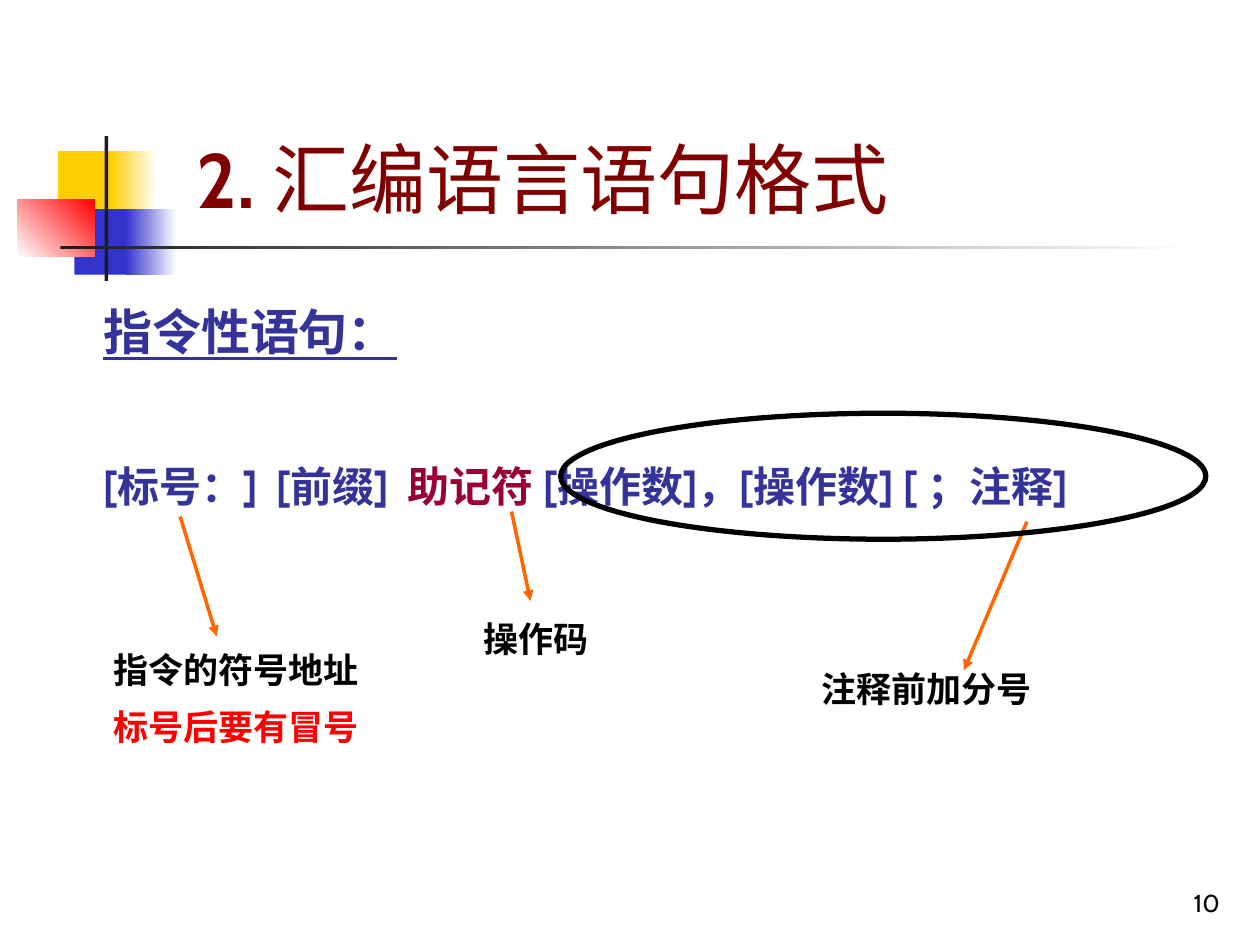
from dataclasses import dataclass

from lxml import etree
from pptx import Presentation
from pptx import util as u
from pptx.dml.color import RGBColor
from pptx.enum import shapes, text
from pptx.oxml.ns import qn


@dataclass(frozen=True)
class Theme:
    """Colours, fonts and type sizes of the slide."""
    white: str = "FFFFFF"
    black: str = "000000"
    ink: str = "1C1C1C"
    yellow: str = "FFCF01"
    blue: str = "3333CC"
    red: str = "FF0000"
    orange: str = "FF6600"
    maroon: str = "800000"
    navy: str = "333399"
    wine: str = "990033"
    sans: str = "Cabin"
    serif: str = "Times New Roman"
    title: int = 44
    heading: int = 28
    syntax: int = 24
    label: int = 20
    number: int = 14


T = Theme()


def rgb(value):
    """Turn a hex string into a colour."""
    return RGBColor.from_string(value)


def apply(obj, formats):
    """Set attributes of an object from a dict."""
    for name, value in formats.items():
        setattr(obj, name, value)


def add_run(p, content, size, color, font=T.sans, **formats):
    """Append a formatted run to a paragraph."""
    r = p.add_run()
    r.text = content
    apply(r.font, {"size": u.Pt(size), "name": font, **formats})
    r.font.color.rgb = rgb(color)


def add_block(slide, box, colors, angle=0):
    """Add a plain block, with a gradient when two colours are given."""
    sp = slide.shapes.add_shape(shapes.MSO_SHAPE.RECTANGLE, *map(u.Inches, box))
    sp.shadow.inherit = False
    sp.line.fill.background()
    if len(colors) == 1:
        sp.fill.solid()
        sp.fill.fore_color.rgb = rgb(colors[0])
        return
    sp.fill.gradient()
    sp.fill.gradient_angle = angle
    for stop, color in zip(sp.fill.gradient_stops, colors):
        stop.color.rgb = rgb(color)


def add_text(slide, box, **formats):
    """Add a wrapping text box and return its frame."""
    tf = slide.shapes.add_textbox(*map(u.Inches, box)).text_frame
    apply(tf, {"word_wrap": True, **formats})
    return tf


def add_label(slide, box, lines, **spacing):
    """Add a bold explanation, one paragraph for each line."""
    tf = add_text(slide, box)
    for i, (content, color) in enumerate(lines):
        p = tf.add_paragraph() if i else tf.paragraphs[0]
        apply(p, spacing)
        if i:
            p.space_before = u.Pt(5)
        add_run(p, content, T.label, color, T.serif, bold=True)


def add_arrow(slide, start, end):
    """Add an arrow from a statement part to its explanation."""
    sp = slide.shapes.add_connector(
        shapes.MSO_CONNECTOR.STRAIGHT, *map(u.Inches, (*start, *end)))
    sp.line.color.rgb = rgb(T.orange)
    sp.line.width = u.Pt(2)
    etree.SubElement(sp.line._get_or_add_ln(), qn("a:tailEnd"), type="triangle")
    etree.SubElement(sp._element.spPr, qn("a:effectLst"))


def add_decoration(slide):
    """Add the coloured blocks and the two rules around the title."""
    for box, colors, angle in [
        ((0.46, 1.2, 0.48, 0.52), [T.yellow], 0),
        ((0.88, 1.2, 0.36, 0.52), [T.yellow, T.white], 0),
        ((0.59, 1.66, 0.46, 0.52), [T.blue], 0),
        ((1, 1.66, 0.4, 0.52), [T.blue, T.white], 0),
        ((0.14, 1.58, 0.61, 0.46), [T.white, T.red], 45),
        ((0.83, 1.08, 0.03, 1.15), [T.ink], 0),
        ((0.48, 1.95, 9, 0.03), [T.ink, T.white], 0),
    ]:
        add_block(slide, box, colors, angle)


def set_title(slide):
    """Place and format the title."""
    sp = slide.shapes.title
    apply(sp, dict(zip(("left", "top", "width", "height"),
                       map(u.Inches, (1.46, 0.6, 6.89, 1.23)))))
    apply(sp.text_frame, {"vertical_anchor": text.MSO_ANCHOR.BOTTOM,
                          "auto_size": text.MSO_AUTO_SIZE.NONE})
    p = sp.text_frame.paragraphs[0]
    p.alignment = text.PP_ALIGN.LEFT
    add_run(p, "2. ", T.title, T.maroon, bold=True)
    add_run(p, "汇编语言语句格式", T.title, T.maroon, bold=False)


def add_statement(slide):
    """Add the heading and the statement syntax."""
    tf = add_text(slide, (0.82, 2.35, 9.06, 2.27), margin_left=0, margin_top=0)
    p = tf.paragraphs[0]
    p.line_spacing = 1.1
    add_run(p, "指令性语句：", T.heading, T.navy, bold=True, underline=True)
    p = tf.add_paragraph()
    apply(p, {"line_spacing": 1.1, "space_before": u.Pt(54)})
    for content, color in [("[标号：]  [前缀]  ", T.navy), ("助记符 ", T.wine),
                           ("[操作数]，[操作数] [ ；注释]", T.navy)]:
        add_run(p, content, T.syntax, color, bold=True)


def add_operand_ring(slide):
    """Circle the operands and the comment."""
    sp = slide.shapes.add_shape(
        shapes.MSO_SHAPE.OVAL, *map(u.Inches, (4.45, 3.28, 5.12, 1)))
    sp.shadow.inherit = False
    sp.fill.background()
    sp.line.color.rgb = rgb(T.black)
    sp.line.width = u.Pt(3)


def add_page_number(slide):
    """Add the page number."""
    tf = add_text(slide, (7.7, 6.83, 2.08, 0.5),
                  vertical_anchor=text.MSO_ANCHOR.BOTTOM)
    p = tf.paragraphs[0]
    p.alignment = text.PP_ALIGN.RIGHT
    add_run(p, "10", T.number, T.black)


def main():
    """Build and save the slide."""
    prs = Presentation()
    apply(prs, {"slide_width": u.Inches(10), "slide_height": u.Inches(7.5)})
    slide = prs.slides.add_slide(prs.slide_layouts[5])
    add_decoration(slide)
    add_page_number(slide)
    set_title(slide)
    add_statement(slide)
    add_label(slide, (0.8, 5.05, 2.99, 0.94),
              [("指令的符号地址", T.black), ("标号后要有冒号", T.red)],
              line_spacing=1.15)
    add_label(slide, (3.74, 4.85, 1.42, 0.44), [("操作码", T.black)])
    add_label(slide, (6.42, 5.25, 2.26, 0.44), [("注释前加分号", T.black)])
    for start, end in [((1.43, 4.1), (1.72, 5.05)),
                       ((4.06, 4.06), (4.21, 4.77)),
                       ((8.15, 4.14), (7.65, 5.32))]:
        add_arrow(slide, start, end)
    add_operand_ring(slide)
    prs.save("out.pptx")


if __name__ == "__main__":
    main()
